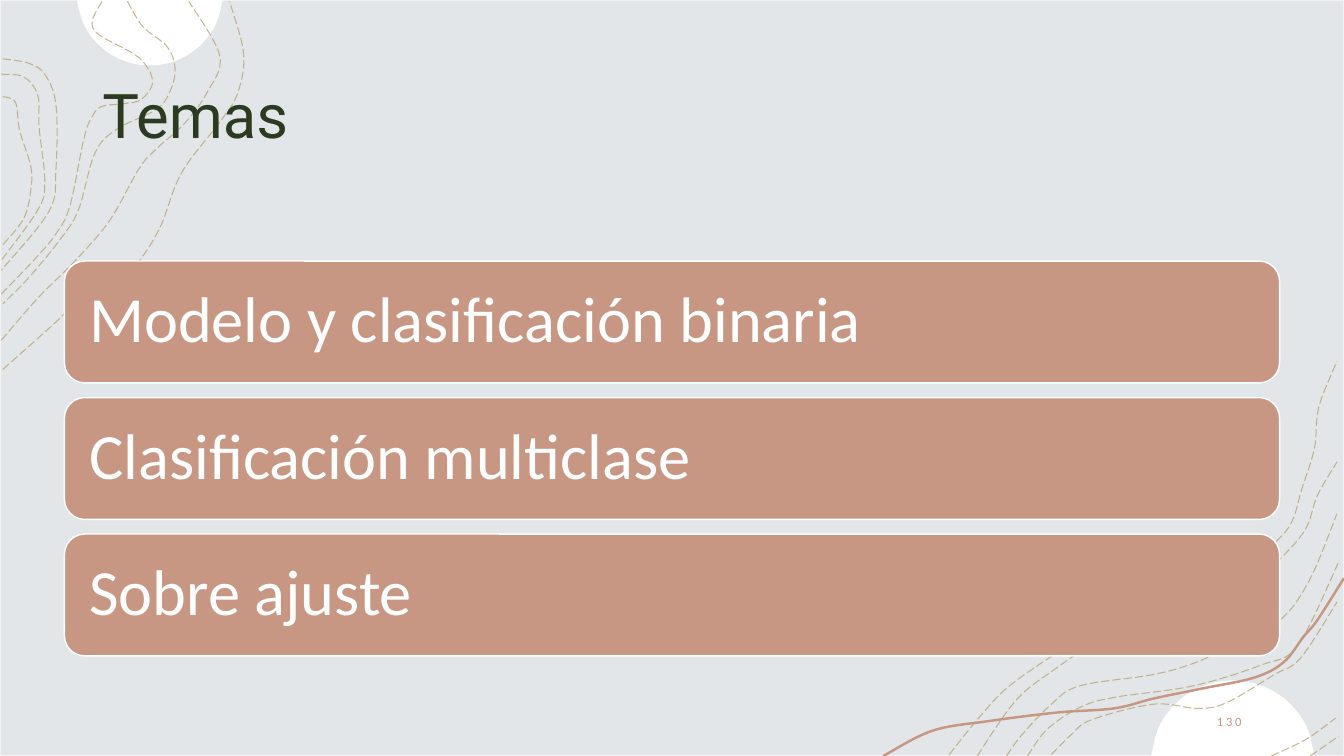
from dataclasses import dataclass
from math import cos, radians, sin

from lxml.etree import SubElement
from pptx import Presentation
from pptx.dml.color import RGBColor
from pptx.enum.dml import MSO_LINE
from pptx.enum.shapes import MSO_SHAPE
from pptx.enum.text import MSO_ANCHOR, MSO_AUTO_SIZE, PP_ALIGN
from pptx.oxml.ns import qn
from pptx.util import Pt


@dataclass(frozen=True)
class Theme:
    """Colours, fonts and type sizes of the slide."""
    mist: str = "E2E6E8"
    frame: str = "F2F2F2"
    white: str = "FFFFFF"
    clay: str = "C79783"
    gold: str = "B3A06E"
    forest: str = "2C3A21"
    title_font: str = "Roboto"
    body_font: str = "Calibri"
    title_size: int = 44
    topic_size: int = 46
    number_size: int = 9


THEME = Theme()
WIDTH, HEIGHT = 960, 540
TOPICS = ["Modelo y clasificación binaria", "Clasificación multiclase", "Sobre ajuste"]
DISCS = [(107, -5.7, 52.5, 6.2, 173.8), (880.6, 544.5, 58.5, 184.4, 355.6)]
RIBBON = [(960, 413), (941, 443), (931, 455), (917, 473), (896, 484), (858, 492),
          (824, 499), (796, 506), (755, 509), (707, 515), (666, 522), (631, 540)]
LEFT_CONTOURS = [
    [(2, 264), (40, 230), (62, 209), (91, 194), (102, 183), (115, 161), (130, 123),
     (158, 86), (170, 66), (174, 38), (164, 1)],
    [(1, 243), (27, 213), (53, 187), (78, 158), (99, 121), (111, 107), (132, 88),
     (148, 66), (157, 40), (135, 1)],
    [(91, 1), (102, 19), (119, 33), (125, 48), (122, 64), (112, 78), (84, 92),
     (68, 109), (56, 150), (43, 171), (20, 199), (2, 217)],
    [(1, 210), (25, 185), (40, 167), (50, 147), (60, 99), (66, 83), (73, 76),
     (89, 74), (101, 71), (109, 58), (99, 41), (71, 25), (66, 15), (73, 1)],
    [(2, 42), (20, 45), (32, 53), (40, 75), (40, 121), (35, 151), (1, 193)],
    [(1, 53), (17, 55), (27, 68), (28, 91), (32, 130), (27, 150), (1, 186)],
    [(2, 69), (11, 73), (14, 93), (22, 119), (22, 136), (17, 156), (2, 175)],
]
RIGHT_CONTOURS = [
    [(678, 539), (699, 513), (721, 490), (760, 463), (776, 454), (791, 450),
     (819, 453), (845, 436), (873, 426), (888, 415), (899, 399), (921, 376),
     (930, 349), (939, 320), (942, 291), (955, 258)],
    [(698, 540), (726, 500), (755, 477), (778, 462), (794, 459), (824, 462),
     (838, 456), (860, 439), (888, 426), (909, 405), (932, 379), (941, 354), (955, 330)],
    [(936, 540), (956, 526)],
    [(908, 540), (933, 528), (954, 513)],
    [(751, 539), (765, 525), (780, 514), (824, 503), (855, 506), (876, 502),
     (910, 482), (929, 470), (955, 430)],
    [(734, 540), (748, 521), (772, 505), (797, 498), (852, 490), (901, 475),
     (927, 461), (956, 402)],
    [(719, 540), (729, 526), (750, 504), (771, 490), (823, 482), (852, 474),
     (876, 463), (913, 444), (935, 415), (955, 367)],
]


def colour(value):
    """Turn a hex string into a colour."""
    return RGBColor.from_string(value)


def bend(outline):
    """Turn the straight segments of a freeform into smooth curves."""
    nodes = [(int(node.get("x")), int(node.get("y"))) for node in outline.element.iter(qn("a:pt"))]
    padded = [nodes[0], *nodes, nodes[-1]]
    segments = list(outline.element.iter(qn("a:lnTo")))
    for segment, before, start, end, after in zip(
            segments, padded, padded[1:], padded[2:], padded[3:]):
        curve = segment.makeelement(qn("a:cubicBezTo"))
        leave = [b + (c - a) / 6 for a, b, c in zip(before, start, end)]
        arrive = [b - (c - a) / 6 for a, b, c in zip(start, end, after)]
        for x, y in (leave, arrive, end):
            SubElement(curve, qn("a:pt"), x=str(round(x)), y=str(round(y)))
        segment.getparent().replace(segment, curve)


def add_curve(slide, anchors, closed=False):
    """Draw a smooth freeform through anchors given in points."""
    corners = [(Pt(x), Pt(y)) for x, y in anchors]
    builder = slide.shapes.build_freeform(*corners[0])
    builder.add_line_segments(corners[1:], close=closed)
    outline = builder.convert_to_shape()
    outline.shadow.inherit = False
    bend(outline)
    return outline


def add_disc(slide, centre_x, centre_y, radius, first, last, steps=8):
    """Draw the part of a disc that lies on the slide."""
    angles = [radians(first + (last - first) * step / steps) for step in range(steps + 1)]
    disc = add_curve(slide, [(centre_x + radius * cos(angle), centre_y + radius * sin(angle))
                             for angle in angles], closed=True)
    disc.fill.solid()
    disc.fill.fore_color.rgb = colour(THEME.white)
    disc.line.fill.background()


def add_stroke(slide, anchors, ink, width):
    """Draw an open curve with the given colour and width."""
    stroke = add_curve(slide, anchors)
    stroke.fill.background()
    stroke.line.color.rgb = colour(ink)
    stroke.line.width = Pt(width)
    return stroke


def add_contour(slide, anchors):
    """Draw one dashed, slightly transparent contour line."""
    contour = add_stroke(slide, anchors, THEME.gold, 0.75)
    contour.line.dash_style = MSO_LINE.LONG_DASH
    tint = next(contour.element.iter(qn("a:srgbClr")))
    SubElement(tint, qn("a:alpha"), val="75000")


def add_panel(slide, kind, left, top, width, height, fill, line):
    """Draw a preset shape with a one-point border."""
    panel = slide.shapes.add_shape(kind, Pt(left), Pt(top), Pt(width), Pt(height))
    panel.shadow.inherit = False
    panel.fill.solid()
    panel.fill.fore_color.rgb = colour(fill)
    panel.line.color.rgb = colour(line)
    panel.line.width = Pt(1)
    return panel


def write(shape, text, font, size, ink, align=PP_ALIGN.LEFT):
    """Put one formatted line of text, centred vertically, in a shape."""
    frame = shape.text_frame
    frame.text = text
    frame.word_wrap = True
    frame.auto_size = MSO_AUTO_SIZE.NONE
    frame.vertical_anchor = MSO_ANCHOR.MIDDLE
    para = frame.paragraphs[0]
    para.alignment = align
    span = para.runs[0]
    span.font.name = font
    span.font.size = Pt(size)
    span.font.color.rgb = colour(ink)
    return para


def add_topic(slide, index, text):
    """Add one bar of the topic list."""
    bar = add_panel(slide, MSO_SHAPE.ROUNDED_RECTANGLE, 46, 186.5 + 97.5 * index,
                    868, 87, THEME.clay, THEME.white)
    bar.text_frame.margin_left = bar.text_frame.margin_right = Pt(13.5)
    para = write(bar, text, THEME.body_font, THEME.topic_size, THEME.white)
    para.line_spacing = 0.9


def place_title(slide, text):
    """Format the title placeholder and bring it in front of the decoration."""
    title = slide.shapes.title
    title.left, title.top, title.width, title.height = Pt(66), Pt(29), Pt(828), Pt(104)
    write(title, text, THEME.title_font, THEME.title_size, THEME.forest)
    title.element.getparent().append(title.element)


def add_page_number(slide, text):
    """Add the letter-spaced page number."""
    box = slide.shapes.add_textbox(Pt(780), Pt(500.5), Pt(114), Pt(29))
    write(box, text, THEME.body_font, THEME.number_size, THEME.clay, PP_ALIGN.RIGHT)
    next(box.element.iter(qn("a:rPr"))).set("spc", "200")


def main():
    """Build and save the deck."""
    deck = Presentation()
    deck.slide_width, deck.slide_height = Pt(WIDTH), Pt(HEIGHT)
    page = deck.slides.add_slide(deck.slide_layouts[5])
    add_panel(page, MSO_SHAPE.RECTANGLE, 0, 0, WIDTH, HEIGHT, THEME.mist, THEME.frame)
    for disc in DISCS:
        add_disc(page, *disc)
    add_stroke(page, RIBBON, THEME.clay, 1.75)
    for anchors in LEFT_CONTOURS + RIGHT_CONTOURS:
        add_contour(page, anchors)
    place_title(page, "Temas")
    for index, topic in enumerate(TOPICS):
        add_topic(page, index, topic)
    add_page_number(page, "130")
    deck.save("out.pptx")


if __name__ == "__main__":
    main()
